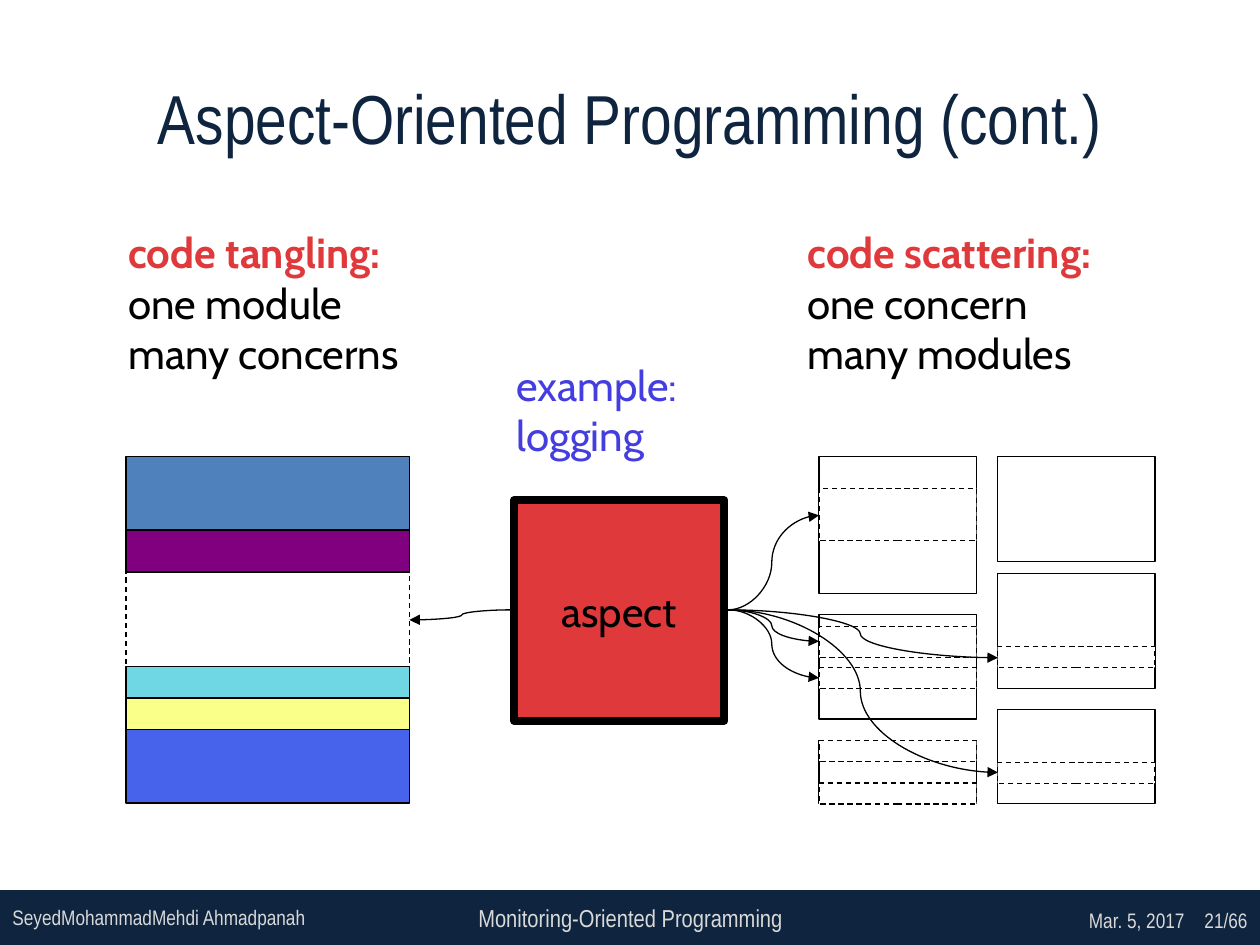
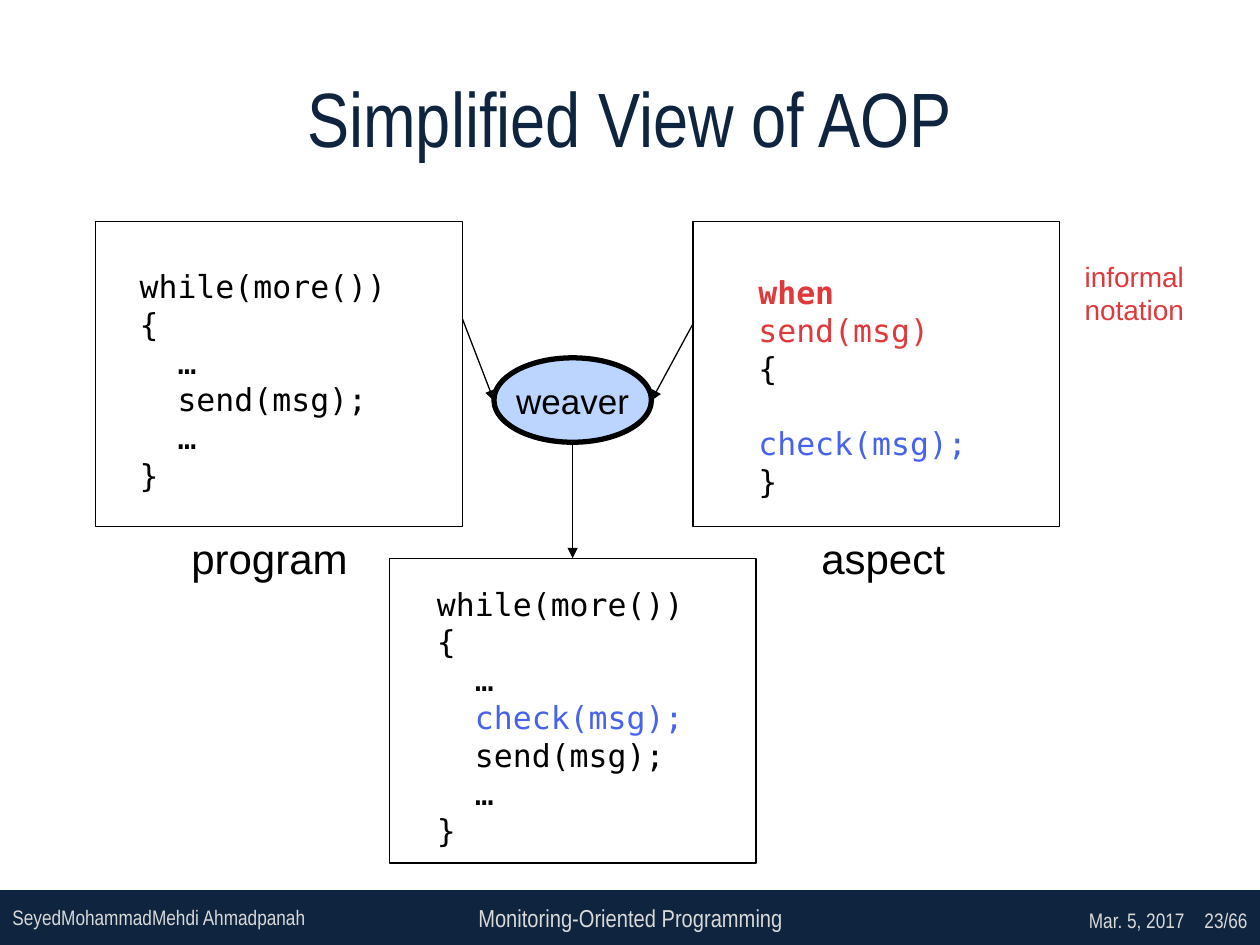
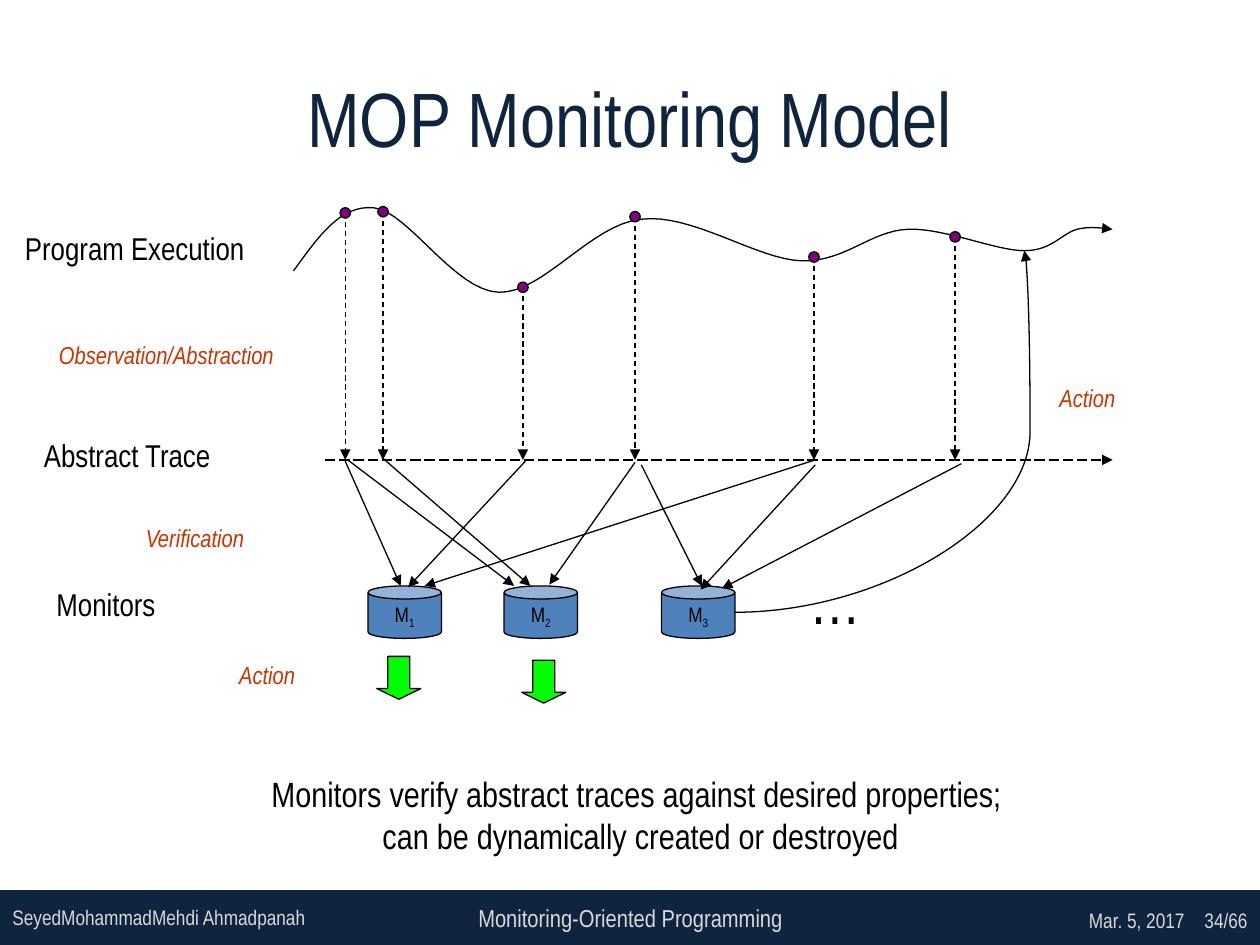
from dataclasses import dataclass

from lxml import etree
from pptx import Presentation
from pptx import util as u
from pptx.dml.color import RGBColor
from pptx.enum import dml, shapes, text
from pptx.oxml.ns import qn

# Colours
NAVY = RGBColor(0x0F, 0x24, 0x3E)
PALE_GREY = RGBColor(0xD9, 0xD9, 0xD9)
BLACK = RGBColor(0, 0, 0)
WHITE = RGBColor(0xFF, 0xFF, 0xFF)
RED = RGBColor(0xDF, 0x39, 0x3C)
RUST = RGBColor(0xCC, 0x33, 0x00)
STEEL = RGBColor(0x4F, 0x81, 0xBD)
PURPLE = RGBColor(0x80, 0x00, 0x80)
CYAN = RGBColor(0x6F, 0xD6, 0xE3)
YELLOW = RGBColor(0xFA, 0xFF, 0x8A)
BLUE = RGBColor(0x48, 0x63, 0xEB)
VIOLET = RGBColor(0x44, 0x3D, 0xDF)
PALE_BLUE = RGBColor(0xBC, 0xD5, 0xFF)
GREEN = RGBColor(0x00, 0xFF, 0x00)

# Fonts
NARROW = "Arial Narrow"
SANS = "Arial"
CABIN = "Cabin"
MONO = "DejaVu Sans Mono"

# Grid of 100 columns by 75 rows
SLIDE_WIDTH, SLIDE_HEIGHT = u.Inches(10), u.Inches(7.5)
CELL = SLIDE_WIDTH // 100

LEFT, CENTER, RIGHT = (text.PP_ALIGN.LEFT, text.PP_ALIGN.CENTER,
                       text.PP_ALIGN.RIGHT)
TOP, MIDDLE = text.MSO_ANCHOR.TOP, text.MSO_ANCHOR.MIDDLE
RECTANGLE = shapes.MSO_SHAPE.RECTANGLE
OVAL = shapes.MSO_SHAPE.OVAL
DASH = dml.MSO_LINE.DASH


@dataclass
class Span:
    """A stretch of text that differs from the rest of its box."""
    text: str
    color: RGBColor = None
    bold: bool = False
    subscript: bool = False


def cells(*lengths):
    return [u.Emu(round(length * CELL)) for length in lengths]


# Text
def write(text_frame, lines, size, font=NARROW, color=BLACK, align=LEFT,
          anchor=TOP, wrap=True, italic=False):
    """Each line is a string or a list of spans."""
    text_frame.word_wrap = wrap
    text_frame.vertical_anchor = anchor
    for index, line in enumerate(lines):
        paragraph = (text_frame.add_paragraph() if index
                     else text_frame.paragraphs[0])
        paragraph.alignment = align
        for span in [Span(line)] if isinstance(line, str) else line:
            run = paragraph.add_run()
            run.text = span.text
            run.font.name = font
            run.font.size = u.Pt(size)
            run.font.bold = span.bold
            run.font.italic = italic
            run.font.color.rgb = span.color or color
            if span.subscript:
                run.font._element.set("baseline", "-25000")


def add_text(slide, box, lines, size, **style):
    write(slide.shapes.add_textbox(*cells(*box)).text_frame, lines, size,
          **style)


# Shapes and lines
def style_line(line, color=BLACK, width=0.75, dash=None, arrow=False):
    line.color.rgb = color
    line.width = u.Pt(width)
    if dash:
        line.dash_style = dash
    if arrow:
        etree.SubElement(line._get_or_add_ln(), qn("a:tailEnd"),
                         type="triangle")


def add_shape(slide, kind, box, fill, **line_style):
    shape = slide.shapes.add_shape(kind, *cells(*box))
    shape.shadow.inherit = False
    if fill is None:
        shape.fill.background()
    else:
        shape.fill.solid()
        shape.fill.fore_color.rgb = fill
    style_line(shape.line, **line_style)
    return shape


def add_arrow(slide, start, end, bend=None, dash=None):
    """A straight arrow, or a curved one that turns at the share bend."""
    kind = shapes.MSO_CONNECTOR.STRAIGHT
    if bend is not None:
        kind = shapes.MSO_CONNECTOR.CURVE
    connector = slide.shapes.add_connector(kind, *cells(*start, *end))
    style_line(connector.line, dash=dash, arrow=True)
    properties = connector._element.spPr
    etree.SubElement(properties, qn("a:effectLst"))
    if bend is not None:
        geometry = properties.find(qn("a:prstGeom"))
        guides = geometry.find(qn("a:avLst"))
        if guides is None:
            guides = etree.SubElement(geometry, qn("a:avLst"))
        etree.SubElement(guides, qn("a:gd"), name="adj1",
                         fmla=f"val {round(bend * 100000)}")
    return connector


def add_wave(slide, start, curves, steps=16):
    """An open line along cubic curves: two handles and an end each."""
    points = []
    begin = start
    for curve in curves:
        for step in range(1, steps + 1):
            t = step / steps
            weights = ((1 - t) ** 3, 3 * t * (1 - t) ** 2,
                       3 * t ** 2 * (1 - t), t ** 3)
            corners = (begin, *curve)
            points.append(cells(*(
                sum(w * corner[axis] for w, corner in zip(weights, corners))
                for axis in (0, 1))))
        begin = curve[-1]
    builder = slide.shapes.build_freeform(*cells(*start))
    builder.add_line_segments(points, close=False)
    wave = builder.convert_to_shape()
    wave.shadow.inherit = False
    wave.fill.background()
    style_line(wave.line, arrow=True)


# Frame shared by all slides
def add_slide(presentation, title, page, title_size=44):
    slide = presentation.slides.add_slide(presentation.slide_layouts[5])
    add_shape(slide, RECTANGLE, (0, 70.8, 100, 4.2), NAVY, color=NAVY, width=2)
    footers = [
        ((0, 70.8, 34.2, 4), "SeyedMohammadMehdi Ahmadpanah", 12, LEFT),
        ((34.2, 70.8, 31.7, 4), "Monitoring-Oriented Programming", 14, CENTER),
        ((75, 71, 20, 4), "Mar. 5, 2017", 12, RIGHT),
        ((90, 71, 10, 4), f"{page}/66", 12, RIGHT),
    ]
    for box, words, size, align in footers:
        add_text(slide, box, [words], size, color=PALE_GREY, align=align,
                 anchor=MIDDLE)
    heading = slide.shapes.title
    heading.left, heading.top, heading.width, heading.height = cells(
        5, 3, 90, 12.5)
    write(heading.text_frame, [title], title_size, color=NAVY, align=CENTER,
          anchor=MIDDLE)
    return slide


# Slide 1: tangling and scattering
def add_tangling_slide(presentation):
    slide = add_slide(presentation, "Aspect-Oriented Programming (cont.)", 21,
                      39.6)

    # One module made of stacked concerns
    top = 36.25
    for height, fill in [(5.83, STEEL), (3.33, PURPLE), (7.5, None),
                         (2.5, CYAN), (2.5, YELLOW), (5.83, BLUE)]:
        add_shape(slide, RECTANGLE, (10, top, 22.5, height), fill,
                  dash=None if fill else DASH)
        top += height

    # Many modules, each with the dashed parts of one concern
    modules = [
        (65, 36.25, 10.83, [(38.75, 4.17)]),
        (65, 48.75, 8.33, [(49.7, 2.5), (53, 1.67)]),
        (65, 58.75, 5, [(58.75, 1.67), (62.15, 1.67)]),
        (79.17, 36.25, 8.33, []),
        (79.17, 45.5, 9.17, [(51.3, 1.67)]),
        (79.17, 56.3, 7.5, [(60.5, 1.67)]),
    ]
    for left, top, height, parts in modules:
        add_shape(slide, RECTANGLE, (left, top, 12.5, height), WHITE)
        for part_top, part_height in parts:
            add_shape(slide, RECTANGLE, (left, part_top, 12.5, part_height),
                      WHITE, dash=DASH)

    # The aspect and its arrows
    aspect = add_shape(slide, RECTANGLE, (40.8, 39.7, 16.7, 17.5), RED,
                       width=4.5)
    write(aspect.text_frame, ["aspect"], 24, font=CABIN, align=CENTER,
          anchor=MIDDLE, wrap=False)
    add_arrow(slide, (40.5, 48.4), (32.5, 49.2), bend=0.48)
    for end in [(65, 40.9), (65, 50.9), (65, 53.8), (79.2, 52.2),
                (79.2, 61.3)]:
        add_arrow(slide, (57.8, 48.4), end, bend=0.48 if end[0] == 65 else 0.49)

    # Captions
    for left, heading, *lines in [
            (9.2, "code tangling:", "one module", "many concerns"),
            (63.1, "code scattering:", "one concern", "many modules")]:
        add_text(slide, (left, 17.5, 27, 13.1),
                 [[Span(heading, RED, bold=True)], *lines], 24, font=CABIN)
    add_text(slide, (40, 28, 16, 9.1), ["example:", "logging"], 24,
             font=CABIN, color=VIOLET)


# Slide 2: weaving
def add_weaving_slide(presentation):
    slide = add_slide(presentation, "Simplified View of AOP", 23)

    def add_code(box_corner, code_box, lines):
        frame = add_shape(slide, RECTANGLE, (*box_corner, 29.1, 24.2), WHITE)
        add_text(slide, code_box, lines, 18, font=MONO)
        return frame

    check = Span("check(msg);", BLUE)
    opening = ["while(more())", "{", "  …"]
    closing = ["  send(msg);", "  …", "}"]
    add_code((7.6, 17.6), (10.1, 20.7, 23, 19), opening + closing)
    add_code((55, 17.6), (59.2, 21.2, 21.2, 13),
             [[Span("when", RED, bold=True), Span(" send(msg)", RED)], "{",
              [Span("  "), check], "}"])
    woven = add_code((30.9, 44.3), (33.7, 45.9, 23, 22),
                     opening + [[Span("  "), check]] + closing)

    # Labels
    add_text(slide, (14.2, 41.8, 16, 5), ["program"], 24, font=SANS)
    add_text(slide, (64.2, 41.8, 13, 5), ["aspect"], 24, font=SANS)
    add_text(slide, (85.1, 20.1, 11, 6.4), ["informal", "notation"], 16,
             font=SANS, color=RED)

    # Weaver
    weaver = add_shape(slide, OVAL, (39.2, 28.4, 12.5, 6.7), PALE_BLUE,
                       width=3)
    write(weaver.text_frame, ["weaver"], 20, font=SANS, align=CENTER,
          anchor=MIDDLE, wrap=False)
    add_arrow(slide, (36.7, 25.3), (39.2, 31.8))
    add_arrow(slide, (55, 25.7), (51.7, 31.8))
    add_arrow(slide, (45.45, 35.3), (45.45, 44.3)).end_connect(woven, 0)


# Slide 3: monitoring model
def add_monitoring_slide(presentation):
    slide = add_slide(presentation, "MOP Monitoring Model", 34)
    trace = 36.5

    # Program execution and abstract trace
    add_wave(slide, (23.3, 21.5), [
        ((25.2, 18.9), (27, 16.2), (29.7, 16.5)),
        ((32.4, 16.8), (36.1, 23.1), (39.6, 23.2)),
        ((43.1, 23.3), (46.9, 17.8), (50.9, 17.4)),
        ((54.9, 16.9), (60.1, 20.6), (63.6, 20.7)),
        ((67.1, 20.8), (69.1, 18.3), (72.1, 18.2)),
        ((75, 18.1), (79, 19.9), (81.3, 19.9)),
        ((83.5, 19.9), (84.3, 18.5), (85.5, 18.2)),
        ((86.7, 17.9), (87.9, 18.2), (88.3, 18.2)),
    ])
    add_arrow(slide, (25.8, trace), (88.3, trace),
              dash=dml.MSO_LINE.LONG_DASH)

    # Events observed on the execution
    dot = 0.83
    for x, y in [(27.4, 16.9), (30.4, 16.8), (41.5, 22.8), (50.4, 17.2),
                 (64.6, 20.4), (75.8, 18.8)]:
        add_arrow(slide, (x, y), (x, trace), dash=DASH)
        add_shape(slide, OVAL, (x - dot / 2, y - dot / 2, dot, dot), PURPLE)

    # Monitors
    for number, left in enumerate((29.2, 40, 52.5), start=1):
        monitor = add_shape(slide, shapes.MSO_SHAPE.CAN,
                            (left, 46.5, 5.83, 4.17), STEEL)
        write(monitor.text_frame,
              [[Span("M"), Span(str(number), subscript=True)]], 12,
              align=CENTER, anchor=MIDDLE, wrap=False)
    add_text(slide, (63.3, 44.1, 7, 7), ["…"], 36)

    # Verification arrows from the trace to the monitors
    for start, end in [
            ((27.4, 36.6), (31.8, 46.5)), ((41.7, 36.6), (32.4, 46.6)),
            ((64.7, 36.5), (33.7, 46.5)), ((27.6, 36.5), (40.8, 46.5)),
            ((30.3, 36.3), (42.1, 46.5)), ((50.4, 36.7), (43.6, 46.4)),
            ((50.9, 36.9), (55.7, 46.5)), ((64.7, 36.9), (55.6, 46.8)),
            ((76.3, 36.8), (57.3, 46.7))]:
        add_arrow(slide, start, end)

    # Actions
    add_arrow(slide, (58.3, 48.6), (81.3, 19.9), bend=1.02)
    for left, top in [(29.9, 52.1), (41.4, 52.4)]:
        action = add_shape(slide, shapes.MSO_SHAPE.DOWN_ARROW,
                           (left, top, 3.5, 3.4), GREEN)
        action.adjustments[1] = 0.25

    # Labels
    for left, top, label in [(1, 17.7, "Program Execution"),
                             (2.5, 34.1, "Abstract Trace"),
                             (3.5, 45.9, "Monitors")]:
        add_text(slide, (left, top, 23.3, 4), [label], 18)
    for left, top, label in [(3.7, 26.5, "Observation/Abstraction"),
                             (10.6, 41, "Verification"),
                             (83.1, 29.9, "Action"),
                             (18, 51.9, "Action")]:
        add_text(slide, (left, top, 23 if len(label) > 12 else 12.4, 3.3),
                 [label], 14, color=RUST, italic=True)
    add_text(slide, (17.5, 60.8, 66.7, 7.7),
             ["Monitors verify abstract traces against desired properties; ",
              "can be dynamically created or destroyed"], 20, align=CENTER)


def main():
    presentation = Presentation()
    presentation.slide_width = SLIDE_WIDTH
    presentation.slide_height = SLIDE_HEIGHT
    add_tangling_slide(presentation)
    add_weaving_slide(presentation)
    add_monitoring_slide(presentation)
    presentation.save("out.pptx")


if __name__ == "__main__":
    main()
